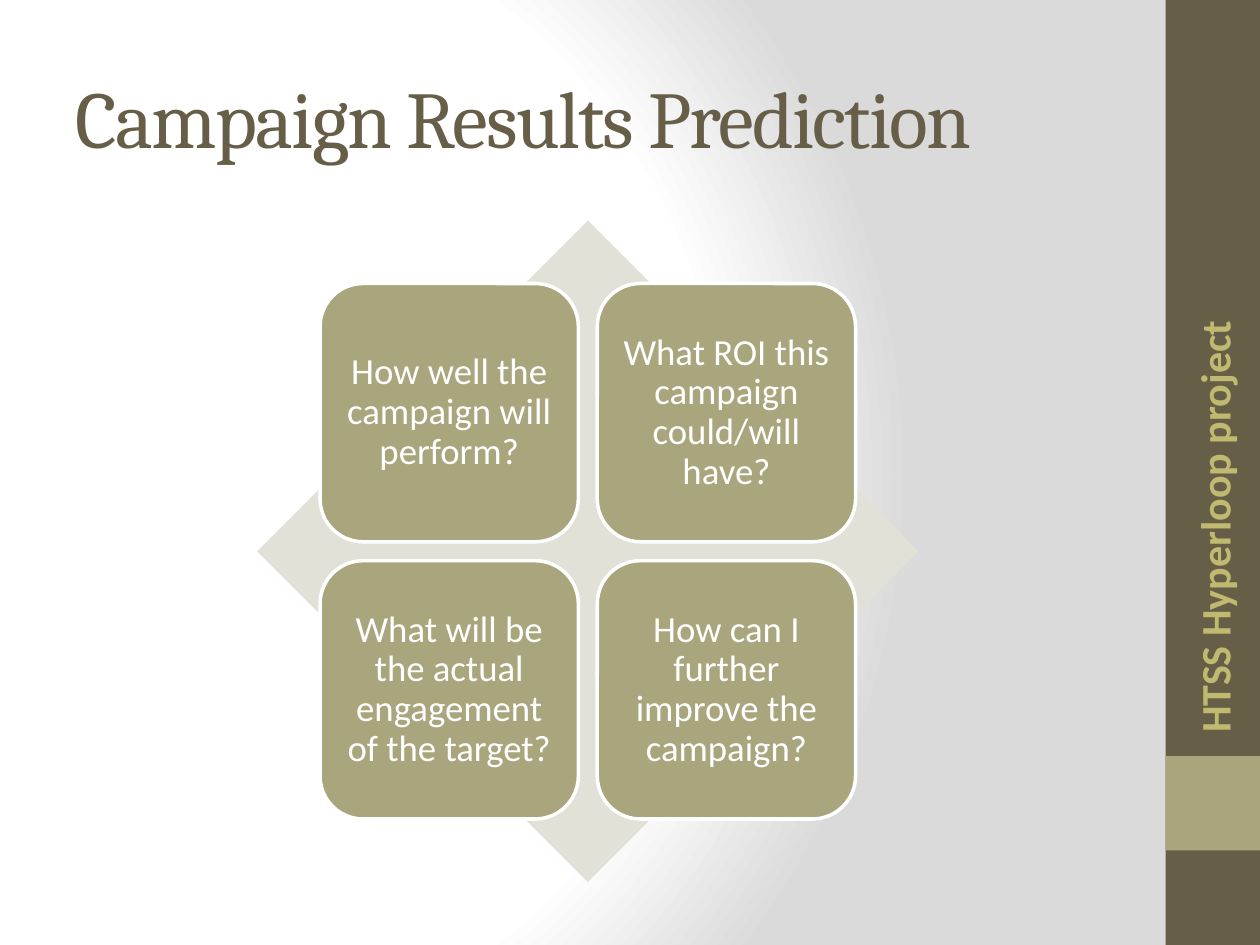
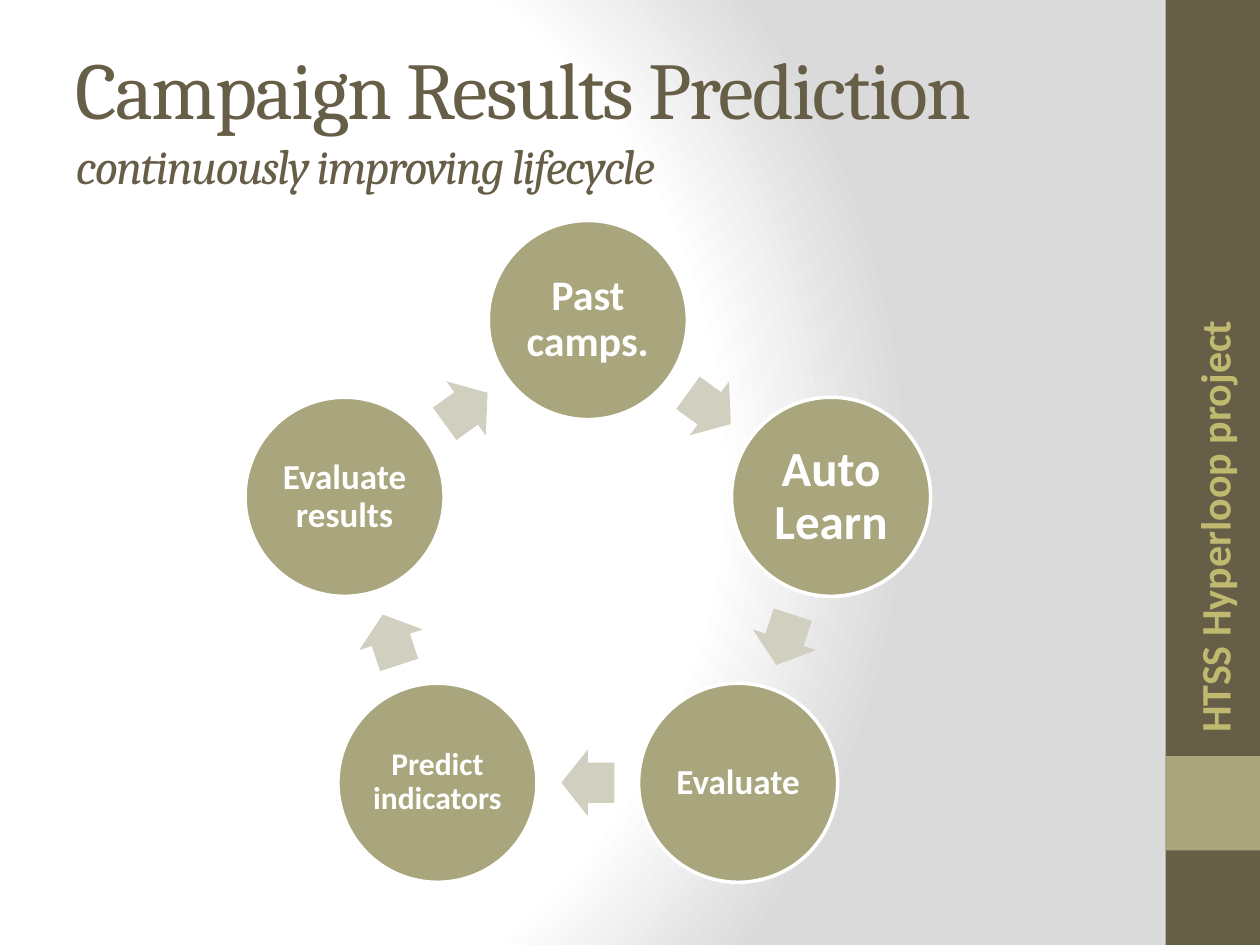
from dataclasses import dataclass
from math import cos, radians, sin

from pptx import Presentation
from pptx.dml.color import RGBColor
from pptx.enum.shapes import MSO_SHAPE as Preset
from pptx.enum.text import MSO_ANCHOR as Anchor, MSO_AUTO_SIZE as AutoSize, PP_ALIGN as Align
from pptx.oxml import parse_xml
from pptx.oxml.ns import nsdecls, qn
from pptx.shapes.autoshape import Shape
from pptx.slide import Slide, SlideMaster
from pptx.text.text import Font
from pptx.util import Inches, Pt


@dataclass(frozen=True)
class Theme:
    dark: str = "675E47"
    olive: str = "A9A57C"
    label: str = "C0BA71"
    diamond: str = "E2E1D7"
    arrow: str = "D1CFBF"
    white: str = "FFFFFF"
    edge: str = "DADADA"
    heading_font: str = "Cambria"
    body_font: str = "Calibri"
    title_size: int = 46
    subtitle_size: int = 28
    label_size: int = 24
    question_size: int = 21
    outline: int = 2


@dataclass(frozen=True)
class Box:
    left: float
    top: float
    width: float
    height: float


@dataclass(frozen=True)
class Stage:
    text: str
    size: int


THEME = Theme()
TITLE = "Campaign Results Prediction"
TITLE_BOX = Box(0.5, 0.3, 8.33, 1.25)
BANDS = [(Box(9.25, 0, 0.75, 7.5), THEME.dark), (Box(9.25, 6, 0.75, 0.75), THEME.olive)]
LABEL_BOX = Box(7.8, 3.83, 3.67, 0.5)
CENTRE_X = 4.665

QUESTIONS = [
    "How well the campaign will perform?",
    "What ROI this campaign could/will have?",
    "What will be the actual engagement of the target?",
    "How can I further improve the campaign?",
]
MATRIX_CENTRE_Y, DIAMOND_SIDE = 4.375, 5.25
CARD_SIDE, CARD_PITCH, CARD_INSET = 2.05, 2.2, 0.09

STAGES = [
    Stage("Past camps.", 24),
    Stage("Auto Learn", 28),
    Stage("Evaluate", 20),
    Stage("Predict indicators", 18),
    Stage("Evaluate results", 20),
]
RING_CENTRE_Y, RING_RADIUS = 4.57, 2.03
STAGE_SIDE, STAGE_INSET = 1.58, 0.03
ARROW_WIDTH, ARROW_HEIGHT = 0.42, 0.53


def lengths(box: Box) -> tuple:
    return tuple(Inches(value) for value in (box.left, box.top, box.width, box.height))


def centred(x: float, y: float, width: float, height: float) -> Box:
    return Box(x - width / 2, y - height / 2, width, height)


def set_font(font: Font, name: str, size: int, color: str, bold: bool = False) -> None:
    font.name, font.size, font.bold = name, Pt(size), bold
    font.color.rgb = RGBColor.from_string(color)


def add_filled(slide: Slide, preset: Preset, box: Box, color: str, outlined: bool = False) -> Shape:
    shape = slide.shapes.add_shape(preset, *lengths(box))
    shape.shadow.inherit = False
    shape.fill.solid()
    shape.fill.fore_color.rgb = RGBColor.from_string(color)
    if outlined:
        shape.line.color.rgb = RGBColor.from_string(THEME.white)
        shape.line.width = Pt(THEME.outline)
    else:
        shape.line.fill.background()
    return shape


def add_node(slide: Slide, preset: Preset, box: Box, text: str, size: int,
             inset: float, bold: bool = False) -> None:
    """Draw an olive shape with a white outline and centred white text."""
    frame = add_filled(slide, preset, box, THEME.olive, outlined=True).text_frame
    frame.word_wrap = True
    frame.vertical_anchor = Anchor.MIDDLE
    frame.margin_left = frame.margin_right = Inches(inset)
    frame.margin_top = frame.margin_bottom = Inches(inset)
    frame.text = text
    paragraph = frame.paragraphs[0]
    paragraph.alignment = Align.CENTER
    paragraph.line_spacing = 0.9
    set_font(paragraph.font, THEME.body_font, size, THEME.white, bold)


def set_background(master: SlideMaster) -> None:
    """Give every slide a circular gradient, which needs XML."""
    master.background.fill.gradient()
    gradient = master.element.find(".//" + qn("a:gradFill"))
    stops = "".join(
        f'<a:gs pos="{percent * 1000}"><a:srgbClr val="{color}"/></a:gs>'
        for percent, color in ((0, THEME.white), (75, THEME.white), (100, THEME.edge))
    )
    gradient.getparent().replace(gradient, parse_xml(
        f'<a:gradFill {nsdecls("a")} rotWithShape="1"><a:gsLst>{stops}</a:gsLst>'
        '<a:path path="circle"><a:fillToRect l="20000" t="50000" r="100000" b="50000"/>'
        '</a:path></a:gradFill>'
    ))


def add_side_label(slide: Slide) -> None:
    label = slide.shapes.add_textbox(*lengths(LABEL_BOX))
    label.rotation = 270
    label.text_frame.word_wrap = True
    label.text_frame.text = "HTSS Hyperloop project"
    set_font(label.text_frame.paragraphs[0].font, THEME.body_font, THEME.label_size,
             THEME.label, bold=True)


def set_title(slide: Slide, subtitle: str) -> None:
    title = slide.shapes.title
    title.left, title.top, title.width, title.height = lengths(TITLE_BOX)
    frame = title.text_frame
    frame.auto_size = AutoSize.NONE
    frame.vertical_anchor = Anchor.MIDDLE
    paragraph = frame.paragraphs[0]
    paragraph.alignment = Align.LEFT
    set_font(paragraph.font, THEME.heading_font, THEME.title_size, THEME.dark)
    paragraph.add_run().text = f"{TITLE} " if subtitle else TITLE
    if subtitle:
        run = paragraph.add_run()
        run.text = subtitle
        run.font.size, run.font.italic = Pt(THEME.subtitle_size), True
    for run in paragraph.runs:
        run.font._element.set("spc", "-100")


def add_slide(presentation: Presentation, subtitle: str = "") -> Slide:
    """Add a slide with the shared bands, side label and title."""
    slide = presentation.slides.add_slide(presentation.slide_layouts.get_by_name("Title Only"))
    for box, color in BANDS:
        add_filled(slide, Preset.RECTANGLE, box, color)
    add_side_label(slide)
    set_title(slide, subtitle)
    return slide


def draw_question_matrix(slide: Slide) -> None:
    diamond = centred(CENTRE_X, MATRIX_CENTRE_Y, DIAMOND_SIDE, DIAMOND_SIDE)
    add_filled(slide, Preset.DIAMOND, diamond, THEME.diamond)
    for index, question in enumerate(QUESTIONS):
        row, column = divmod(index, 2)
        card = centred(CENTRE_X + (column - 0.5) * CARD_PITCH,
                       MATRIX_CENTRE_Y + (row - 0.5) * CARD_PITCH, CARD_SIDE, CARD_SIDE)
        add_node(slide, Preset.ROUNDED_RECTANGLE, card, question, THEME.question_size, CARD_INSET)


def ring_box(angle: float, radius: float, width: float, height: float) -> Box:
    """Place a box on the ring, at an angle clockwise from the top."""
    turn = radians(angle)
    return centred(CENTRE_X + radius * sin(turn), RING_CENTRE_Y - radius * cos(turn), width, height)


def draw_lifecycle(slide: Slide) -> None:
    step = 360 / len(STAGES)
    chord_radius = RING_RADIUS * cos(radians(step / 2))
    for index, stage in enumerate(STAGES):
        circle = ring_box(index * step, RING_RADIUS, STAGE_SIDE, STAGE_SIDE)
        add_node(slide, Preset.OVAL, circle, stage.text, stage.size, STAGE_INSET, bold=True)
        angle = (index + 0.5) * step
        arrow = add_filled(slide, Preset.RIGHT_ARROW,
                           ring_box(angle, chord_radius, ARROW_WIDTH, ARROW_HEIGHT), THEME.arrow)
        arrow.adjustments[0], arrow.adjustments[1] = 0.6, 0.5
        arrow.rotation = angle


def main() -> None:
    presentation = Presentation()
    presentation.slide_width, presentation.slide_height = Inches(10), Inches(7.5)
    set_background(presentation.slide_master)
    draw_question_matrix(add_slide(presentation))
    draw_lifecycle(add_slide(presentation, "continuously improving lifecycle"))
    presentation.save("out.pptx")


if __name__ == "__main__":
    main()
